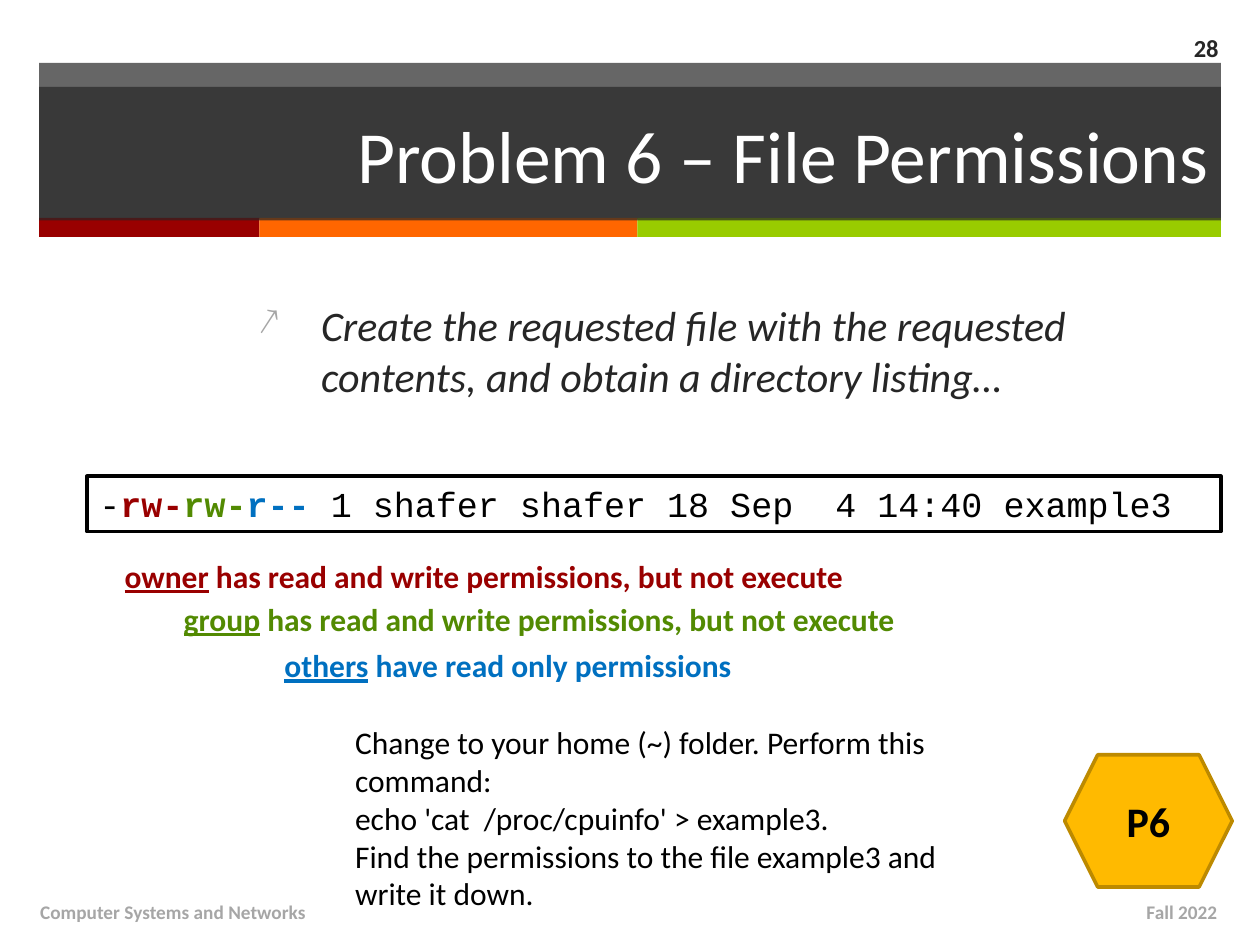
from lxml.etree import SubElement as Sub
from pptx import Presentation
from pptx.dml.color import RGBColor as Rgb
from pptx.enum.shapes import MSO_SHAPE as Kind
from pptx.enum.text import MSO_ANCHOR as Anchor, PP_ALIGN as Align
from pptx.oxml.ns import qn
from pptx.util import Inches, Pt

# Grid of square cells over the slide
COLS, ROWS = 100, 75
WIDE, HIGH = Inches(10), Inches(7.5)

HUES = {
    "dark": "262626", "red": "990000", "orange": "FF6600", "lime": "99CC00",
    "green": "528A02", "blue": "0070C0", "gray": "A6A6A6", "white": "FFFFFF",
    "black": "000000", "gold": "FFBA00", "rim": "BD8A00",
}

# Content: boxes are left, top, width, height in grid cells
LEFT, SPAN = 3.1, 93.8
BANDS = [(5, 12.4), (6.9, 10.6)]  # top, height
STRIPES = [("red", 17.5), ("orange", 30), ("lime", 46.3)]  # hue, width
TITLE = "Problem 6 – File Permissions"
TASK = ("Create the requested file with the requested contents, "
        "and obtain a directory listing…")
LISTING = [
    ("-", "black", False), ("rw-", "red", True), ("rw-", "green", True),
    ("r--", "blue", True),
    (" 1 shafer shafer 18 Sep  4 14:40 example3", "black", False),
]
ROLES = [
    ("owner", " has read and write permissions, but not execute",
     "red", (8.9, 43.7, 62.4, 4)),
    ("group", " has read and write permissions, but not execute",
     "green", (13.6, 47.1, 64.8, 4)),
    ("others", " have read only permissions", "blue", (21.6, 50.8, 45, 4)),
]
STEPS = [
    "Change to your home (~) folder. Perform this command:",
    "echo 'cat  /proc/cpuinfo' > example3.",
    "Find the permissions to the file example3 and write it down.",
]
NOTES = [  # text, size, hue, align, box
    ("Computer Systems and Networks", 11, "gray", Align.LEFT, (2.2, 70.4, 67, 4)),
    ("Fall 2022", 11, "gray", Align.RIGHT, (74.3, 70.4, 23.3, 4)),
    ("28", 14, "dark", Align.RIGHT, (90.8, 1.8, 6.9, 3.9)),
]

deck = Presentation()
deck.slide_width, deck.slide_height = WIDE, HIGH
slide = deck.slides.add_slide(deck.slide_layouts[6])


def hue(name):
    return Rgb.from_string(HUES[name])


def place(box):
    x, y, w, h = box
    return (round(x * WIDE / COLS), round(y * HIGH / ROWS),
            round(w * WIDE / COLS), round(h * HIGH / ROWS))


def shape(kind, box, fill, line=None, alpha=None):
    item = slide.shapes.add_shape(kind, *place(box))
    item.shadow.inherit = False
    item.fill.solid()
    item.fill.fore_color.rgb = hue(fill)
    if alpha:
        tint = item.fill._xPr.find(qn("a:solidFill"))[0]
        Sub(tint, qn("a:alpha"), val=str(alpha * 1000))
    if line:
        item.line.color.rgb = hue(line)
        item.line.width = Pt(2)
    else:
        item.line.fill.background()
    return item


def write(item, lines, size, name, align=Align.LEFT, anchor=Anchor.TOP,
          bold=False, face="Calibri"):
    """Set each line, a string or a list of strings, as one paragraph."""
    frame = item.text_frame
    frame.word_wrap = True
    frame.vertical_anchor = anchor
    for i, line in enumerate(lines):
        para = frame.add_paragraph() if i else frame.paragraphs[0]
        para.alignment = align
        font = para.font
        font.size, font.name, font.bold = Pt(size), face, bold
        font.color.rgb = hue(name)
        for part in [line] if isinstance(line, str) else line:
            para.add_run().text = part
    return frame.paragraphs[0]


def label(box, *args, **more):
    return write(slide.shapes.add_textbox(*place(box)), *args, **more)


# Header bands, stripes and title
for i, (top, tall) in enumerate(BANDS):
    band = shape(Kind.RECTANGLE, (LEFT, top, SPAN, tall), "dark", alpha=70)
    if i == 0:
        x = LEFT
        for name, wide in STRIPES:
            shape(Kind.RECTANGLE, (x, 17.3, wide, 1.5), name)
            x += wide
write(band, [TITLE], 42, "white", Align.RIGHT, Anchor.MIDDLE)

# Task with arrow bullet
task = label((19.5, 23.3, 77.4, 43.7), [TASK], 24, "dark")
task.font.italic = True
task.space_before = Pt(20)
props = task._p.get_or_add_pPr()
props.set("marL", str(Inches(0.5)))
props.set("indent", str(-Inches(0.5)))
marks = [Sub(Sub(props, qn("a:buClr")), qn("a:srgbClr"), val=HUES["gray"]).getparent(),
         Sub(props, qn("a:buSzPct"), val="90000"),
         Sub(props, qn("a:buChar"), char="↗")]
rest = props.find(qn("a:defRPr"))
for mark in marks:
    rest.addprevious(mark)

# Footer and page number
for text, size, name, align, box in NOTES:
    label(box, [text], size, name, align, Anchor.MIDDLE, True)

# Problem badge
badge = shape(Kind.HEXAGON, (84.5, 59.9, 13.3, 10.5), "gold", "rim")
write(badge, ["P6"], 24, "black", Align.CENTER, Anchor.MIDDLE, True)

# Directory listing
panel = shape(Kind.RECTANGLE, (6.9, 37.8, 90, 4.4), "white", "black")
row = write(panel, [[text for text, _, _ in LISTING]], 20, "black",
            face="Courier New")
for run, (_, name, bold) in zip(row.runs, LISTING):
    run.font.color.rgb = hue(name)
    run.font.bold = bold

# Who may do what
for who, rule, name, box in ROLES:
    label(box, [[who, rule]], 18, name, bold=True).runs[0].font.underline = True

# Steps to perform
label((27.2, 56.9, 50, 16.2), STEPS, 18, "black")

deck.save("out.pptx")
